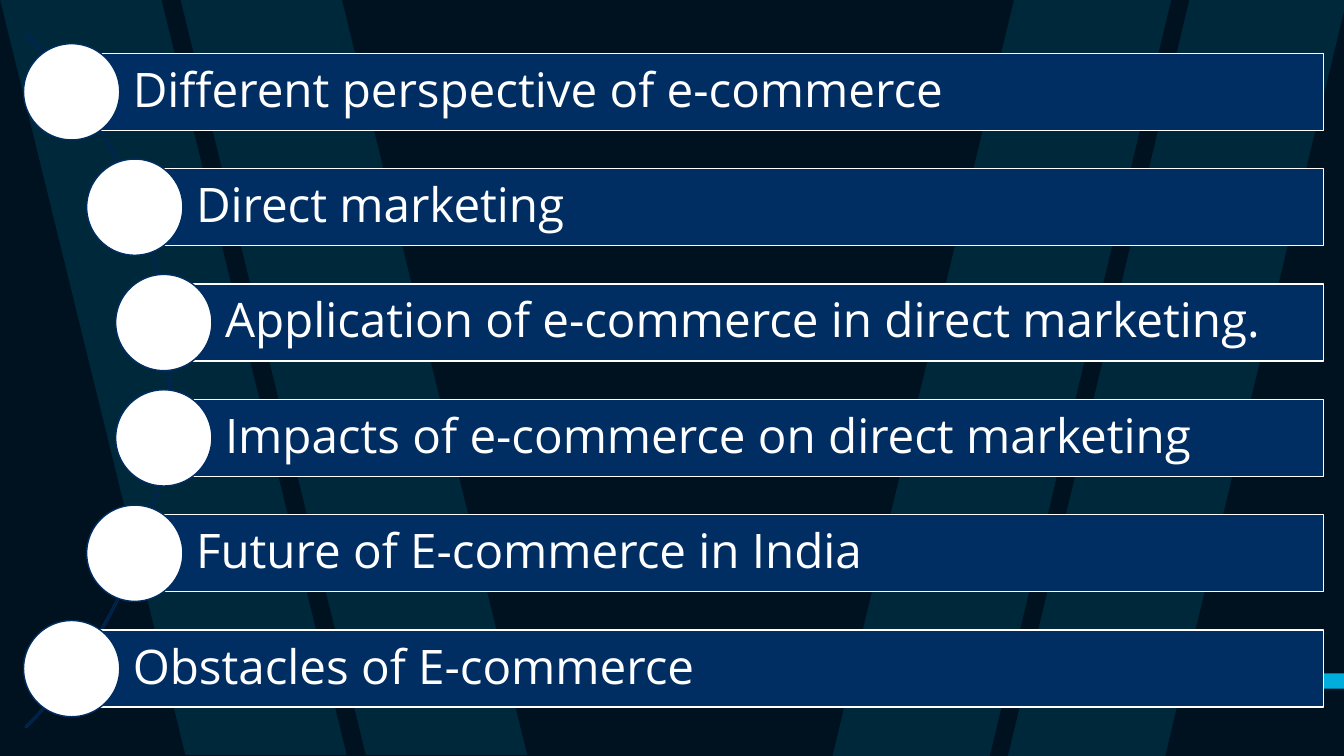
from lxml.etree import SubElement
from pptx import Presentation
from pptx.dml.color import RGBColor
from pptx.enum.shapes import MSO_SHAPE
from pptx.enum.text import MSO_ANCHOR, PP_ALIGN
from pptx.oxml.ns import qn
from pptx.util import Pt

TOPICS = [
    ("Different perspective of e-commerce", 51.2),
    ("Direct marketing", 96.3),
    ("Application of e-commerce in direct marketing.", 117),
    ("Impacts of e-commerce on direct marketing", 117),
    ("Future of E-commerce in India", 96.3),
    ("Obstacles of E-commerce", 51.2),
]
COLORS = {"back": "00111F", "accent": "00AEDE", "bar": "002E62", "arc": "00254E", "white": "FFFFFF"}
STRIPE_PAIRS = [
    {"lefts": (0, 128.9), "width": 115.2, "slant": 132.5, "top": -0.7, "bottom": 539.3},
    {"lefts": (724.3, 849.6), "width": 112.3, "slant": -129.6, "top": 0, "bottom": 540},
]
TAB = [(960.5, 481), (960.5, 491.8), (897.1, 491.8), (889.9, 481)]
FIRST_CENTER, PITCH = 65.6, 82.4
BAR_RIGHT, BAR_HEIGHT, DOT = 945.6, 55, 68.7
ARC_LEFT, ARC_TOP, ARC_SIZE = -580.3, -79.2, 702


def color(name):
    """Return the named palette colour."""
    return RGBColor.from_string(COLORS[name])


def paint(sp, fill=None, line=None):
    """Set fill and line and drop the shadow."""
    sp.shadow.inherit = False
    if fill:
        sp.fill.solid()
        sp.fill.fore_color.rgb = color(fill)
    else:
        sp.fill.background()
    if line:
        sp.line.color.rgb = color(line)
        sp.line.width = Pt(1)
    else:
        sp.line.fill.background()


def add_shape(s, kind, box, fill, line):
    """Add a preset shape placed in points."""
    sp = s.shapes.add_shape(kind, *(Pt(v) for v in box))
    paint(sp, fill, line)
    return sp


def add_outline(s, contours):
    """Add one accent freeform made of closed contours."""
    contours = [[(Pt(x), Pt(y)) for x, y in c] for c in contours]
    fb = s.shapes.build_freeform(*contours[0][0])
    for i, points in enumerate(contours):
        if i:
            fb.move_to(*points[0])
        fb.add_line_segments(points[1:], close=True)
    sp = fb.convert_to_shape()
    paint(sp, "accent")
    return sp


def add_stripes(s, lefts, width, slant, top, bottom):
    """Add a pair of translucent slanted stripes."""
    sp = add_outline(s, [
        [(x, top), (x + width, top), (x + width + slant, bottom), (x + slant, bottom)]
        for x in lefts
    ])
    rgb = sp.fill._xPr.find(qn("a:solidFill")).find(qn("a:srgbClr"))
    SubElement(rgb, qn("a:alpha")).set("val", "15000")


def add_topic(s, text, left, center):
    """Add a labelled bar with a dot on its left end."""
    bar = add_shape(s, MSO_SHAPE.RECTANGLE,
                    (left, center - BAR_HEIGHT / 2, BAR_RIGHT - left, BAR_HEIGHT), "bar", "white")
    tf = bar.text_frame
    tf.text = text
    tf.word_wrap = True
    tf.vertical_anchor = MSO_ANCHOR.MIDDLE
    tf.margin_left = Pt(43.7)
    tf.margin_right = tf.margin_top = tf.margin_bottom = Pt(6.5)
    p = tf.paragraphs[0]
    p.alignment = PP_ALIGN.LEFT
    p.line_spacing = 0.9
    r = p.runs[0]
    r.font.size = Pt(34)
    r.font.name = "Open Sans"
    r.font.color.rgb = color("white")
    add_shape(s, MSO_SHAPE.OVAL, (left - DOT / 2, center - DOT / 2, DOT, DOT), "white", "bar")


def main():
    """Build the topic list slide."""
    prs = Presentation()
    prs.slide_width, prs.slide_height = Pt(960), Pt(540)
    s = prs.slides.add_slide(prs.slide_layouts[6])
    s.background.fill.solid()
    s.background.fill.fore_color.rgb = color("back")
    for pair in STRIPE_PAIRS:
        add_stripes(s, **pair)
    add_outline(s, [TAB])
    arc = add_shape(s, MSO_SHAPE.BLOCK_ARC, (ARC_LEFT, ARC_TOP, ARC_SIZE, ARC_SIZE), None, "arc")
    for i, value in enumerate((189, 27, 0.002)):
        arc.adjustments[i] = value
    for i, (text, left) in enumerate(TOPICS):
        add_topic(s, text, left, FIRST_CENTER + i * PITCH)
    prs.save("out.pptx")


if __name__ == "__main__":
    main()
